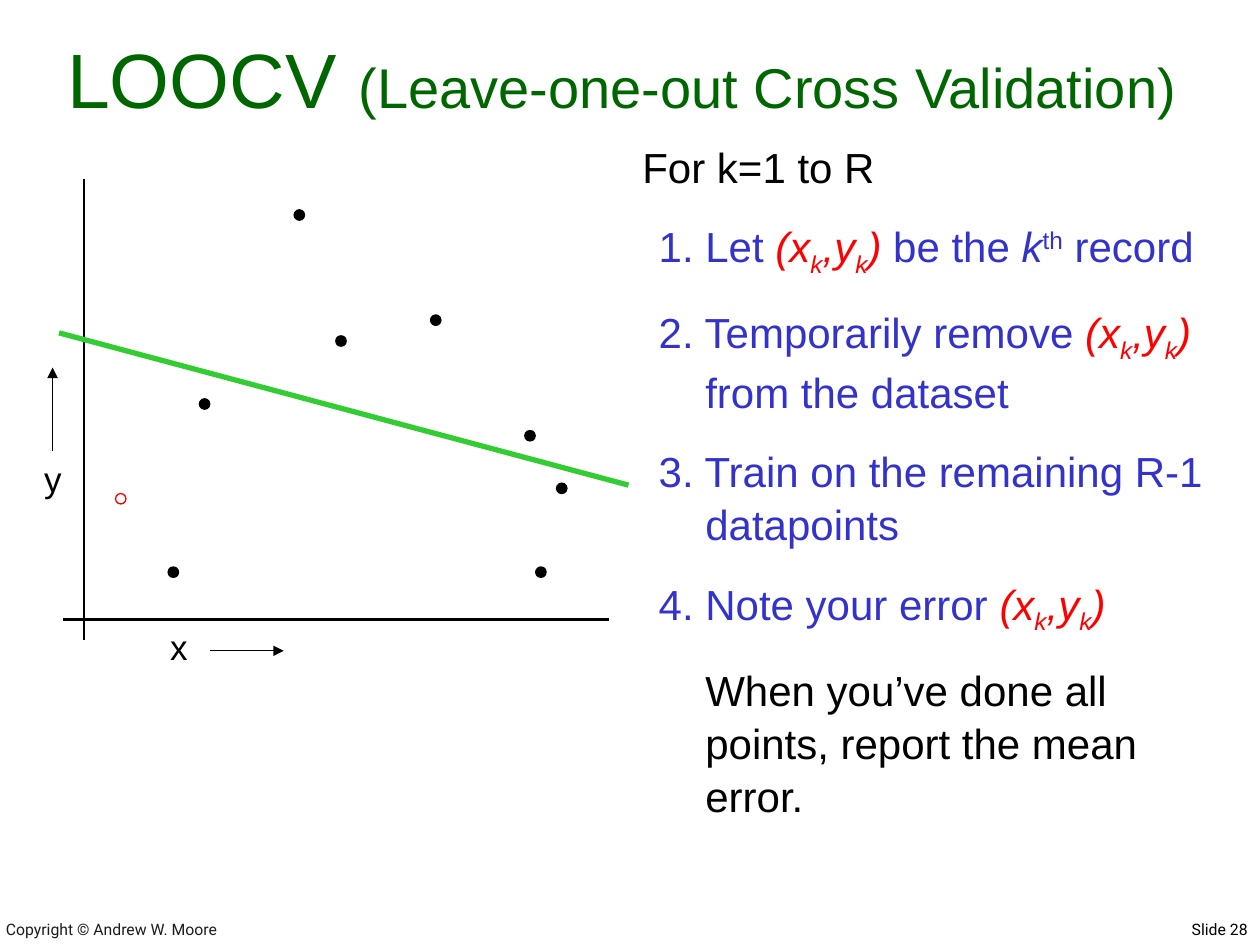
from typing import NamedTuple

from lxml.etree import SubElement
from pptx import Presentation
from pptx.dml.color import RGBColor
from pptx.enum.shapes import MSO_CONNECTOR as Connector, MSO_SHAPE as Shape
from pptx.enum.text import MSO_ANCHOR as Anchor, PP_ALIGN as Align
from pptx.oxml.ns import qn
from pptx.util import Cm, Pt

COLORS = {
    "black": "000000", "white": "FFFFFF", "footer": "1C1C1C", "title": "006600",
    "step": "3333CC", "record": "FF0000", "fit": "33CC33",
}
DOT_SIZE = 0.21


class Span(NamedTuple):
    text: str
    color: str = "step"
    italic: bool = False
    baseline: int = 0  # percent of the font size


class Step(NamedTuple):
    spans: list[Span]
    left: float = 0
    first_line: float = 0
    level: int = 0


class Dot(NamedTuple):
    left: float
    top: float
    fill: str = "black"
    line: str = "black"


class Line(NamedTuple):
    x1: float
    y1: float
    x2: float
    y2: float
    width: float = 1.5
    color: str = "black"
    arrow: bool = False


class Label(NamedTuple):
    text: str
    left: float
    top: float
    width: float
    height: float
    size: float = 20
    font: str = "Arial"
    color: str = "black"
    align: Align = Align.LEFT
    anchor: Anchor = Anchor.TOP


def record() -> list[Span]:
    """The red (x_k, y_k) with its subscripts."""
    parts = [("(x", 0), ("k", -25), (",y", 0), ("k", -25), (")", 0)]
    return [Span(text, "record", True, baseline) for text, baseline in parts]


def numbered(*spans: Span) -> Step:
    return Step(list(spans), left=1.27, first_line=-0.94, level=1)


STEPS = [
    Step([Span("For k=1 to R", "black")]),
    numbered(Span("1. Let "), *record(), Span(" be the "), Span("k", italic=True),
             Span("th", baseline=30), Span(" record")),
    numbered(Span("2. Temporarily remove "), *record(), Span(" from the dataset")),
    numbered(Span("3. Train on the remaining R-1 datapoints")),
    numbered(Span("4. Note your error "), *record()),
    Step([Span("When you’ve done all points, report the mean error.", "black")], left=1.27),
]
DOTS = [
    Dot(2.33, 9.95, "white", "record"),
    Dot(3.39, 11.43), Dot(4.02, 8.04), Dot(5.93, 4.23), Dot(6.77, 6.77),
    Dot(8.68, 6.35), Dot(10.8, 11.43), Dot(11.22, 9.74), Dot(10.58, 8.68),
]
AXES = [Line(1.69, 3.6, 1.69, 12.9), Line(1.27, 12.49, 12.28, 12.49)]
ARROWS = [
    Line(4.23, 13.12, 5.72, 13.12, 0.75, arrow=True),
    Line(1.06, 9.1, 1.06, 7.41, 0.75, arrow=True),
]
FIT = Line(1.19, 6.71, 12.67, 9.78, 3, "fit")
FOOTERS = [
    Label("Copyright © Andrew W. Moore", -0.13, 18.34, 14.1, 0.71, 9, "Roboto",
          "footer", anchor=Anchor.BOTTOM),
    Label("Slide 28", 15.44, 18.42, 9.96, 0.69, 9, "Roboto", align=Align.RIGHT),
]
AXIS_LABELS = [Label("x", 3.18, 12.49, 0.84, 1.12), Label("y", 0.64, 9.1, 0.84, 1.12)]


def rgb(name: str) -> RGBColor:
    return RGBColor.from_string(COLORS[name])


def add_label(page, label: Label) -> None:
    box = page.shapes.add_textbox(
        Cm(label.left), Cm(label.top), Cm(label.width), Cm(label.height))
    frame = box.text_frame
    frame.word_wrap = True
    frame.vertical_anchor = label.anchor
    para = frame.paragraphs[0]
    para.text = label.text
    para.alignment = label.align
    para.font.size = Pt(label.size)
    para.font.name = label.font
    para.font.color.rgb = rgb(label.color)


def add_line(page, line: Line) -> None:
    connector = page.shapes.add_connector(
        Connector.STRAIGHT, Cm(line.x1), Cm(line.y1), Cm(line.x2), Cm(line.y2))
    connector.line.width = Pt(line.width)
    connector.line.color.rgb = rgb(line.color)
    if line.arrow:
        SubElement(connector.line._get_or_add_ln(), qn("a:tailEnd"), type="triangle")
    SubElement(connector._element.spPr, qn("a:effectLst"))


def add_dot(page, dot: Dot) -> None:
    shape = page.shapes.add_shape(
        Shape.OVAL, Cm(dot.left), Cm(dot.top), Cm(DOT_SIZE), Cm(DOT_SIZE))
    shape.shadow.inherit = False
    shape.fill.solid()
    shape.fill.fore_color.rgb = rgb(dot.fill)
    shape.line.color.rgb = rgb(dot.line)
    shape.line.width = Pt(0.75)


def set_title(page) -> None:
    title = page.shapes.title
    title.left, title.top, title.width, title.height = Cm(0.69), Cm(0.51), Cm(23.7), Cm(2.11)
    title.text_frame.vertical_anchor = Anchor.BOTTOM
    para = title.text_frame.paragraphs[0]
    para.alignment = Align.CENTER
    para.font.name = "Arial"
    para.font.color.rgb = rgb("title")
    for text, size in [("LOOCV ", 44), ("(Leave-one-out Cross Validation)", 32)]:
        run = para.add_run()
        run.text = text
        run.font.size = Pt(size)


def add_steps(page) -> None:
    box = page.shapes.add_textbox(Cm(12.7), Cm(2.67), Cm(12.22), Cm(12.47))
    frame = box.text_frame
    frame.word_wrap = True
    for index, step in enumerate(STEPS):
        para = frame.add_paragraph() if index else frame.paragraphs[0]
        para.level = step.level
        para.line_spacing = 1.05
        para.space_before = Pt(15 if index else 0)
        properties = para._p.get_or_add_pPr()
        properties.set("marL", str(Cm(step.left)))
        properties.set("indent", str(Cm(step.first_line)))
        para.font.size = Pt(24)
        para.font.name = "Arial"
        for span in step.spans:
            run = para.add_run()
            run.text = span.text
            run.font.italic = span.italic
            run.font.color.rgb = rgb(span.color)
            if span.baseline:
                run._r.get_or_add_rPr().set("baseline", str(span.baseline * 1000))


def main() -> None:
    deck = Presentation()
    deck.slide_width, deck.slide_height = Cm(25.4), Cm(19.05)
    page = deck.slides.add_slide(deck.slide_layouts[5])
    set_title(page)
    add_steps(page)
    for line in AXES:
        add_line(page, line)
    for dot in DOTS:
        add_dot(page, dot)
    for line in [*ARROWS, FIT]:
        add_line(page, line)
    for label in [*AXIS_LABELS, *FOOTERS]:
        add_label(page, label)
    deck.save("out.pptx")


if __name__ == "__main__":
    main()
